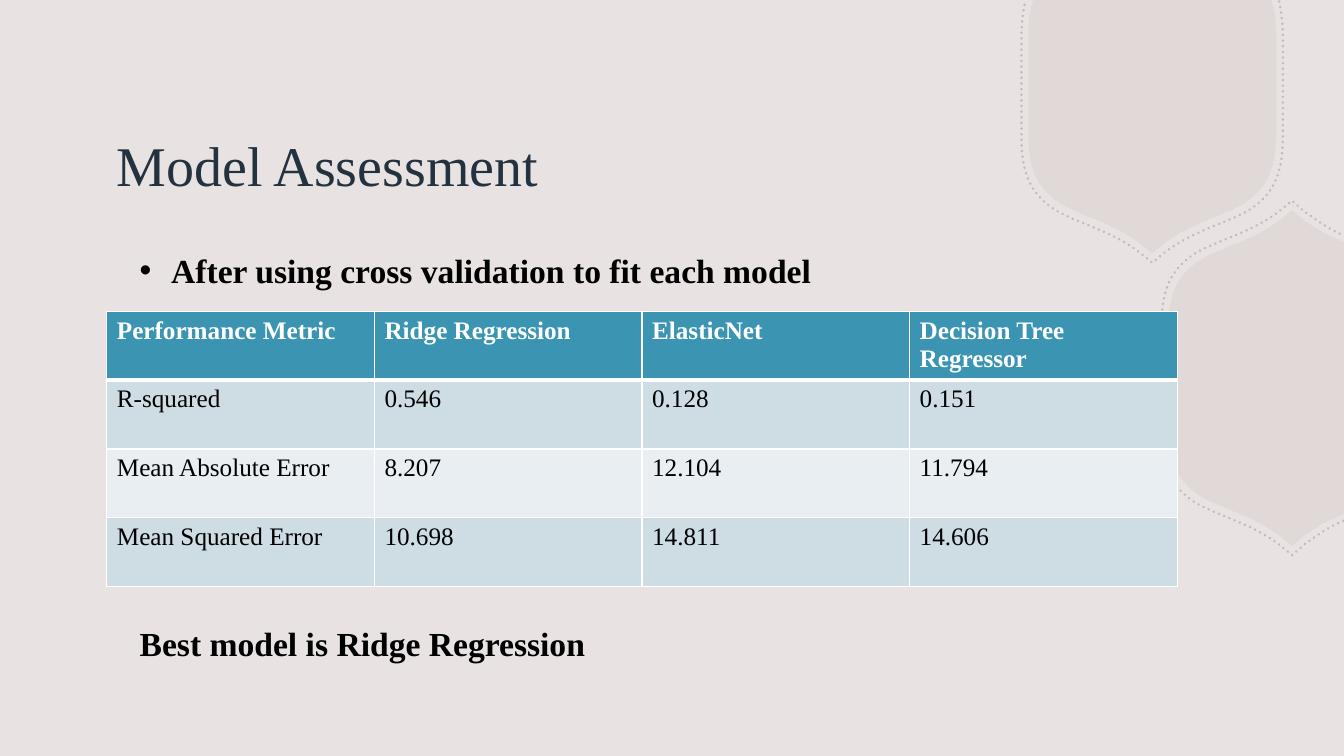
from dataclasses import dataclass

import pptx
import pptx.dml.color
import pptx.enum.dml
import pptx.enum.text
import pptx.oxml
import pptx.oxml.ns
import pptx.util
from pptx.util import Pt


@dataclass(frozen=True)
class Theme:
    font: str = "Times New Roman"
    title_size: int = 40
    statement_size: int = 24
    table_size: int = 18
    background: str = "E8E3E2"
    badge: str = "B5A5A2"
    title: str = "23323E"
    text: str = "000000"
    white: str = "FFFFFF"
    header: str = "3B94B1"
    bands: tuple = ("CEDCE4", "E8EEF2")


THEME = Theme()
NAMESPACE = pptx.oxml.ns.nsdecls("a")
UPPER_CENTER, LOWER_CENTER = (823, 61), (923, 270)
BORDER_SCALE = 1.055
# Outlines are points around a badge centre, with one letter per segment:
# L is a line (one point), C is a curve (three points).
QUARTER = [(88.5, 35), (88.5, 61), (81.5, 74), (65.5, 84.5),
           (49, 94), (27.5, 98.3), (8, 113.5), (0, 120)]
QUARTER_KINDS = "CCL"
# Where the slide's edge cuts a badge
UPPER_FILL_CUT = [(85, -61), (85.7, -58.7), (87.8, -52.2), (88.5, -44.3), (88.5, -35)]
UPPER_BORDER_CUT = [(90.7, -60), (93.4, -47), (93.4, -39), (93.4, -29)]
LOWER_FILL_CUT = [(37, 97.2), (22.3, 103.7), (18, 106.6), (13, 109.4), (8, 113)]
LOWER_BORDER_CUT = [(36.5, 102), (26, 106), (14.4, 115), (8.6, 119)]
METRICS = [
    ["Performance Metric", "Ridge Regression", "ElasticNet", "Decision Tree Regressor"],
    ["R-squared", "0.546", "0.128", "0.151"],
    ["Mean Absolute Error", "8.207", "12.104", "11.794"],
    ["Mean Squared Error", "10.698", "14.811", "14.606"],
]


def rgb(color):
    return pptx.dml.color.RGBColor.from_string(color)


def format_runs(paragraph, size, color, bold=False):
    for run in paragraph.runs:
        run.font.name = THEME.font
        run.font.size = Pt(size)
        run.font.bold = bold
        run.font.color.rgb = rgb(color)


def set_alpha(shape, percent):
    for color in shape.element.spPr.iter(pptx.oxml.ns.qn("a:srgbClr")):
        color.append(pptx.oxml.parse_xml(
            f'<a:alpha {NAMESPACE} val="{percent * 1000}"/>'))


def upper_outline(cut, cut_kinds, scale):
    """Run from the top edge down to the tip and mirror left."""
    half = cut + [(x * scale, y * scale) for x, y in QUARTER]
    kinds = cut_kinds + "L" + QUARTER_KINDS
    mirrored = [(-x, y) for x, y in reversed(half[:-1])]
    return half + mirrored, kinds + kinds[::-1]


def lower_outline(cut, cut_kinds, scale):
    """Run from the right edge over the tip to the left side and mirror up."""
    half = cut + [(-x * scale, y * scale) for x, y in reversed(QUARTER)]
    kinds = cut_kinds + "L" + QUARTER_KINDS[::-1]
    mirrored = [(x, -y) for x, y in reversed(half)]
    return half + mirrored, kinds + "L" + kinds[::-1]


def add_outline(slide, center, outline, close):
    points, kinds = outline
    points = [(Pt(center[0] + x), Pt(center[1] + y)) for x, y in points]
    builder = slide.shapes.build_freeform(*points[0], scale=1.0)
    builder.add_line_segments(points[1:], close=close)
    shape = builder.convert_to_shape()
    shape.shadow.inherit = False
    lines = iter(list(shape.element.iter(pptx.oxml.ns.qn("a:lnTo"))))
    for kind in kinds:
        line = next(lines)
        if kind == "C":
            curve = pptx.oxml.parse_xml(f"<a:cubicBezTo {NAMESPACE}/>")
            line.addprevious(curve)
            for step in (line, next(lines), next(lines)):
                curve.append(step[0])
                step.getparent().remove(step)
    return shape


def add_badge_fill(slide, center, outline):
    shape = add_outline(slide, center, outline, close=True)
    shape.fill.solid()
    shape.fill.fore_color.rgb = rgb(THEME.badge)
    set_alpha(shape, 15)
    shape.line.fill.background()


def add_badge_border(slide, center, outline):
    shape = add_outline(slide, center, outline, close=False)
    shape.fill.background()
    shape.line.width = Pt(2)
    shape.line.color.rgb = rgb(THEME.badge)
    shape.line.dash_style = pptx.enum.dml.MSO_LINE.ROUND_DOT
    shape.element.spPr.find(pptx.oxml.ns.qn("a:ln")).set("cap", "rnd")
    set_alpha(shape, 65)


def add_badges(slide):
    add_badge_fill(slide, UPPER_CENTER, upper_outline(UPPER_FILL_CUT, "LC", 1))
    add_badge_fill(slide, LOWER_CENTER, lower_outline(LOWER_FILL_CUT, "LC", 1))
    add_badge_border(slide, UPPER_CENTER,
                     upper_outline(UPPER_BORDER_CUT, "C", BORDER_SCALE))
    add_badge_border(slide, LOWER_CENTER,
                     lower_outline(LOWER_BORDER_CUT, "C", BORDER_SCALE))


def add_title(slide, text, box):
    title = slide.shapes.title
    title.left, title.top, title.width, title.height = map(Pt, box)
    frame = title.text_frame
    frame.text = text
    frame.word_wrap = True
    frame.vertical_anchor = pptx.enum.text.MSO_ANCHOR.MIDDLE
    paragraph = frame.paragraphs[0]
    paragraph.alignment = pptx.enum.text.PP_ALIGN.LEFT
    format_runs(paragraph, THEME.title_size, THEME.title)


def add_statement(slide, text, box, bullet=False):
    frame = slide.shapes.add_textbox(*map(Pt, box)).text_frame
    frame.word_wrap = True
    frame.text = text
    paragraph = frame.paragraphs[0]
    format_runs(paragraph, THEME.statement_size, THEME.text, bold=True)
    if bullet:
        properties = paragraph._p.get_or_add_pPr()
        properties.set("marL", str(Pt(22.5)))
        properties.set("indent", str(-Pt(22.5)))
        for xml in (f'<a:buFont {NAMESPACE} typeface="Arial"/>',
                    f'<a:buChar {NAMESPACE} char="•"/>'):
            properties.append(pptx.oxml.parse_xml(xml))


def add_cell_borders(cell, widths):
    """Add white borders; widths maps each side (L, R, T, B) to points."""
    properties = cell._tc.get_or_add_tcPr()
    for side, width in widths.items():
        properties.append(pptx.oxml.parse_xml(
            f'<a:ln{side} {NAMESPACE} w="{Pt(width)}"><a:solidFill>'
            f'<a:srgbClr val="{THEME.white}"/></a:solidFill></a:ln{side}>'))


def add_metrics_table(slide, rows, box):
    table = slide.shapes.add_table(len(rows), len(rows[0]), *map(Pt, box)).table
    for row in table.rows:
        row.height = Pt(box[3] / len(rows))
    for row_index, values in enumerate(rows):
        is_header = row_index == 0
        fill = THEME.header if is_header else THEME.bands[(row_index - 1) % 2]
        top = 3 if row_index == 1 else 1
        bottom = 3 if is_header else 1
        for column_index, value in enumerate(values):
            cell = table.cell(row_index, column_index)
            add_cell_borders(cell, {"L": 1, "R": 1, "T": top, "B": bottom})
            cell.fill.solid()
            cell.fill.fore_color.rgb = rgb(fill)
            cell.text_frame.text = value
            format_runs(cell.text_frame.paragraphs[0], THEME.table_size,
                        THEME.white if is_header else THEME.text, bold=is_header)


def main():
    presentation = pptx.Presentation()
    presentation.slide_width, presentation.slide_height = Pt(960), Pt(540)
    slide = presentation.slides.add_slide(presentation.slide_layouts[5])
    slide.background.fill.solid()
    slide.background.fill.fore_color.rgb = rgb(THEME.background)
    add_badges(slide)
    add_title(slide, "Model Assessment", (76.3, 75.6, 715, 83.5))
    add_metrics_table(slide, METRICS, (76.3, 222.6, 764.6, 196.2))
    add_statement(slide, "After using cross validation to fit each model",
                  (92.7, 175, 584, 36), bullet=True)
    add_statement(slide, "Best model is Ridge Regression", (92.7, 441.4, 350, 36))
    presentation.save("out.pptx")


if __name__ == "__main__":
    main()
